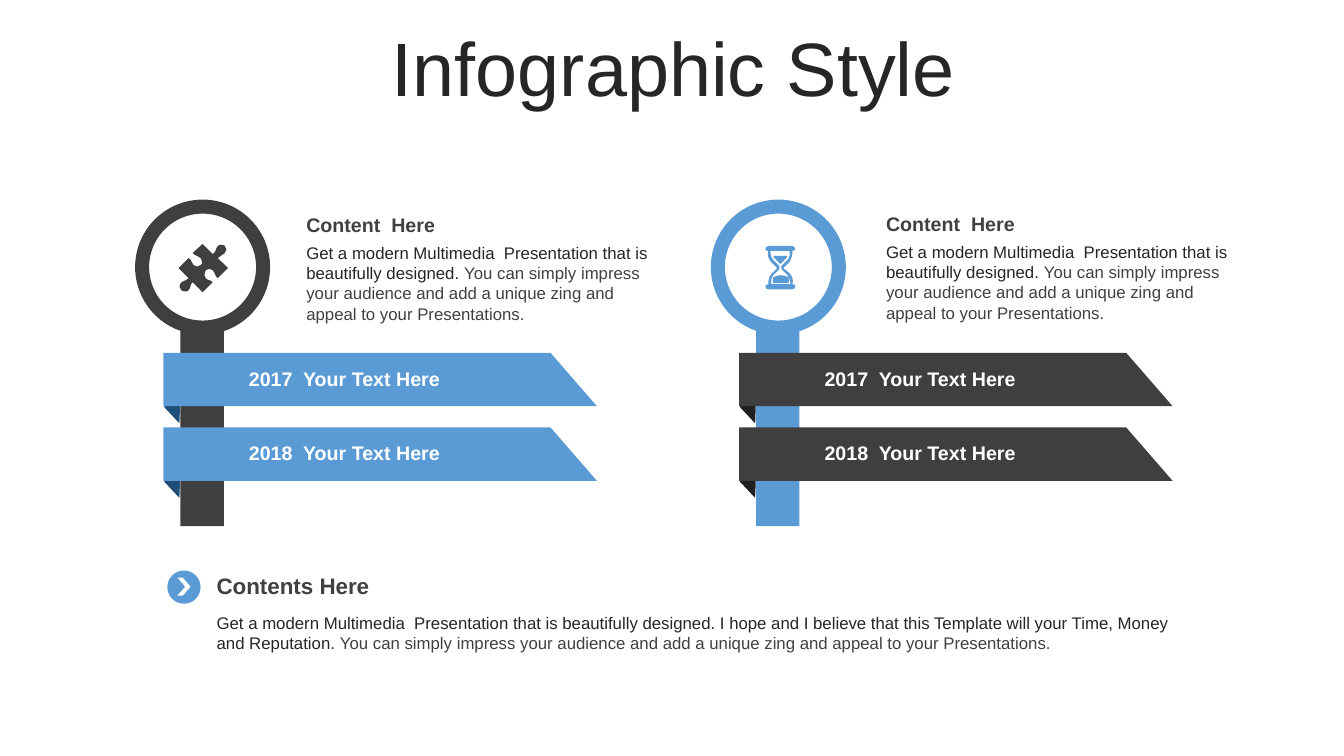
from lxml import etree
from pptx import Presentation
from pptx.dml.color import RGBColor
from pptx.enum.shapes import MSO_SHAPE as SHAPE
from pptx.enum.text import MSO_ANCHOR as ANCHOR, MSO_AUTO_SIZE as AUTO, PP_ALIGN as ALIGN
from pptx.oxml.ns import qn
from pptx.util import Inches, Pt

BLUE = RGBColor(0x5B, 0x9B, 0xD5)
NAVY = RGBColor(0x1F, 0x4E, 0x79)
CHARCOAL = RGBColor(0x3F, 0x3F, 0x3F)
BLACK = RGBColor(0x20, 0x20, 0x20)
INK = RGBColor(0x26, 0x26, 0x26)
GRAY = RGBColor(0x40, 0x40, 0x40)
WHITE = RGBColor(0xFF, 0xFF, 0xFF)

FOLD = "M 16 2 L 0 0 L 0 52 L 15 68 C 16 46 16 24 16 2"
RIBBON = "M 0 0 L 384 0 L 430 53 L 0 53 L 0 0"
PUZZLE = (
    "M 46 3 C 48 5 48 8 46 10 C 44 13 41 12 39 15 L 49 25 L 39 35 "
    "C 35 32 37 29 34 27 C 32 25 29 26 27 27 C 26 29 25 32 27 35 "
    "C 30 38 31 36 34 39 L 24 49 L 14 39 C 11 42 13 43 10 47 "
    "C 8 49 4 48 3 47 C 1 45 0 42 2 40 C 5 37 7 38 10 35 L 0 25 L 10 15 "
    "C 14 17 12 20 15 22 C 17 24 20 24 22 22 C 24 21 24 17 22 15 "
    "C 19 12 18 14 14 10 L 24 1 L 34 11 C 38 8 36 7 39 3 C 41 1 45 2 46 3"
)
HOURGLASS = (
    "M 15 29 C 18 29 20 30 23 31 C 24 33 24 35 23 37 L 8 37 "
    "C 7 35 7 33 8 31 C 11 30 13 29 15 29 "
    "M 8 10 L 22 10 C 22 11 21 11 21 12 L 15 18 L 9 12 C 9 11 8 11 8 10 "
    "M 5 5 C 5 8 6 12 8 14 L 14 20 L 14 23 L 8 29 C 6 32 5 35 6 38 L 25 38 "
    "C 25 35 24 31 22 29 L 16 23 L 16 20 L 22 14 C 24 12 25 8 24 5 L 5 5 "
    "M 3 0 L 27 0 C 28 0 30 2 30 3 C 30 4 28 5 27 5 C 27 9 26 13 24 16 "
    "L 18 22 L 24 27 C 27 30 28 34 27 38 C 29 38 30 39 30 40 "
    "C 30 42 28 43 27 43 L 3 43 C 2 43 0 42 0 40 C 0 39 2 38 3 38 "
    "C 3 34 4 30 6 28 L 12 22 L 6 16 C 3 13 2 9 3 5 C 1 5 0 4 0 3 C 0 2 2 0 3 0"
)

IMPRESS = "You can simply impress your audience and add a unique zing and appeal to your Presentations."
INTRO = "Get a modern Multimedia  Presentation that is beautifully designed. "
HOPE = "I hope and I believe that this Template will your Time, Money and Reputation. "


def trace(outline):
    tokens = iter(outline.split())
    for command in tokens:
        count = 3 if command == "C" else 1
        yield command, [(int(next(tokens)), int(next(tokens))) for _ in range(count)]


def bend(sp, commands):
    lines = iter(list(sp.element.iter(qn("a:lnTo"))))
    for command in commands:
        if command == "L":
            next(lines)
        elif command == "C":
            corners = [next(lines) for _ in range(3)]
            curve = etree.Element(qn("a:cubicBezTo"))
            corners[0].addprevious(curve)
            for corner in corners:
                curve.append(corner[0])
                corner.getparent().remove(corner)


class InfographicSlide:
    font = "Arial"

    def __init__(self, prs):
        self.slide = prs.slides.add_slide(prs.slide_layouts[5])
        self.shapes = self.slide.shapes

    def paint(self, sp, color):
        sp.shadow.inherit = False
        sp.fill.solid()
        sp.fill.fore_color.rgb = color
        sp.line.fill.background()
        return sp

    def shape(self, kind, x, y, w, h, color):
        sp = self.shapes.add_shape(kind, Inches(x), Inches(y), Inches(w), Inches(h))
        return self.paint(sp, color)

    def ring(self, x, y, size, color):
        sp = self.shape(SHAPE.OVAL, x, y, size, size, color)
        sp.fill.background()
        sp.line.color.rgb = color
        sp.line.width = Pt(10)

    def outline(self, path_text, x, y, color):
        contours = []
        steps = list(trace(path_text))
        for command, points in steps:
            if command == "M":
                contours.append([])
            contours[-1] += [(Inches(x + px / 100), Inches(y + py / 100)) for px, py in points]
        builder = self.shapes.build_freeform(*contours[0][0])
        builder.add_line_segments(contours[0][1:], close=True)
        for contour in contours[1:]:
            builder.move_to(*contour[0])
            builder.add_line_segments(contour[1:], close=True)
        sp = self.paint(builder.convert_to_shape(), color)
        bend(sp, [command for command, points in steps])

    def style(self, r, size, color, bold=False):
        r.font.name = self.font
        r.font.size = Pt(size)
        r.font.bold = bold
        r.font.color.rgb = color

    def title(self, text):
        sp = self.shapes.title
        sp.left, sp.top, sp.width, sp.height = (Inches(v) for v in (0.35, 0.32, 12.66, 0.79))
        tf = sp.text_frame
        tf.text = text
        tf.auto_size = AUTO.NONE
        tf.vertical_anchor = ANCHOR.MIDDLE
        p = tf.paragraphs[0]
        p.alignment = ALIGN.CENTER
        p.line_spacing = 0.9
        self.style(p.runs[0], 54, INK)

    def text(self, x, y, w, h, runs, size, bold=False, anchor=ANCHOR.TOP):
        tf = self.shapes.add_textbox(Inches(x), Inches(y), Inches(w), Inches(h)).text_frame
        tf.word_wrap = True
        tf.auto_size = AUTO.SHAPE_TO_FIT_TEXT
        tf.vertical_anchor = anchor
        for text, color in runs:
            r = tf.paragraphs[0].add_run()
            r.text = text
            self.style(r, size, color, bold)

    def heading(self, x, y, w, h, text, size):
        self.text(x, y, w, h, [(text, GRAY)], size, True, ANCHOR.MIDDLE)

    def ribbon(self, x, y, label, color, fold_color):
        self.outline(FOLD, x + 0.01, y + 0.02, fold_color)
        self.outline(RIBBON, x, y, color)
        self.text(x + 0.75, y + 0.09, 2.73, 0.34, [(label, WHITE)], 14, True)

    def signpost(self, x, color, ribbon_color, fold_color):
        self.shape(SHAPE.RECTANGLE, x + 0.38, 3.24, 0.43, 1.98, color)
        self.ring(x, 2.05, 1.2, color)
        for row, year in enumerate((2017, 2018)):
            self.ribbon(x + 0.21, 3.5 + 0.74 * row, f"{year}  Your Text Here",
                        ribbon_color, fold_color)

    def content(self, x, y):
        self.heading(x, y, 3.66, 0.34, "Content  Here", 14)
        self.text(x, y + 0.3, 3.66, 0.91, [(INTRO, INK), (IMPRESS, GRAY)], 12)

    def summary(self):
        self.shape(SHAPE.OVAL, 1.66, 5.66, 0.33, 0.33, BLUE)
        arrow = self.shape(SHAPE.CHEVRON, 1.76, 5.73, 0.13, 0.18, WHITE)
        arrow.adjustments[0] = 0.6
        self.heading(2.05, 5.62, 9.92, 0.37, "Contents Here", 16)
        self.text(2.05, 6.03, 9.92, 0.5, [(INTRO + HOPE, INK), (IMPRESS, GRAY)], 12)


def main():
    prs = Presentation()
    prs.slide_width = Inches(13.33)
    prs.slide_height = Inches(7.5)
    s = InfographicSlide(prs)
    s.title("Infographic Style")
    s.signpost(1.41, CHARCOAL, BLUE, NAVY)
    s.content(2.94, 2.06)
    s.signpost(7.12, BLUE, CHARCOAL, BLACK)
    s.content(8.69, 2.05)
    s.summary()
    s.outline(PUZZLE, 1.77, 2.41, CHARCOAL)
    s.outline(HOURGLASS, 7.59, 2.44, BLUE)
    prs.save("out.pptx")


if __name__ == "__main__":
    main()
